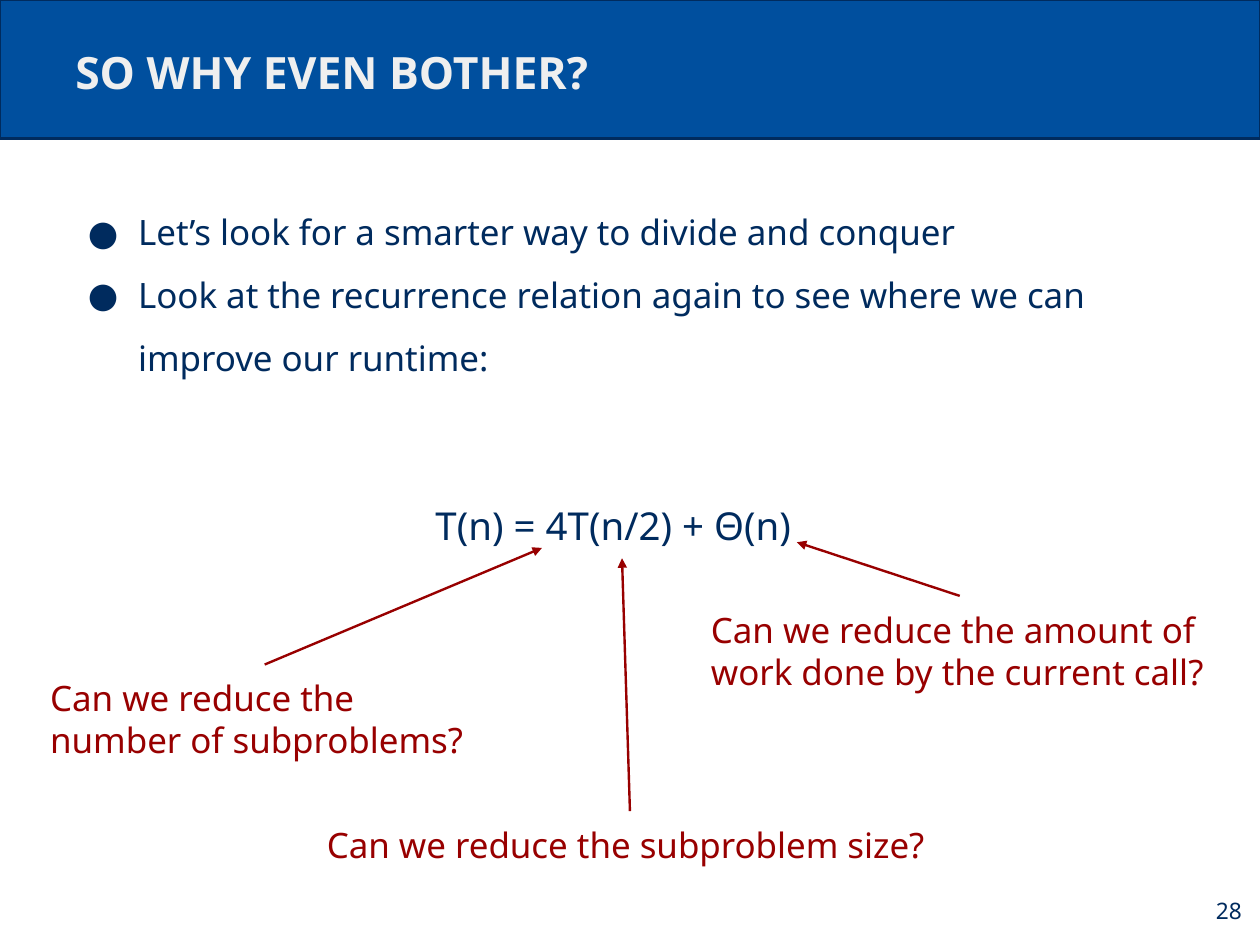
from pptx import Presentation
from pptx.dml.color import RGBColor
from pptx.enum.shapes import MSO_CONNECTOR, MSO_SHAPE
from pptx.enum.text import MSO_ANCHOR, PP_ALIGN
from pptx.oxml.ns import qn
from pptx.util import Pt
from lxml.etree import SubElement

COLORS = {"blue": "004F9E", "navy": "002B5E", "red": "980000", "pale": "EFEFEF"}


class Deck:
    font = "Noto Sans"
    inset = 7.8
    stroke = 1.5

    def __init__(self, width, height):
        self.prs = Presentation()
        self.prs.slide_width, self.prs.slide_height = Pt(width), Pt(height)
        self.slide = self.prs.slides.add_slide(self.prs.slide_layouts[6])

    def color(self, name):
        return RGBColor.from_string(COLORS[name])

    def bar(self, box, fill, line):
        shape = self.slide.shapes.add_shape(MSO_SHAPE.RECTANGLE, *map(Pt, box))
        shape.shadow.inherit = False
        shape.fill.solid()
        shape.fill.fore_color.rgb = self.color(fill)
        shape.line.color.rgb = self.color(line)
        shape.line.width = Pt(self.stroke)

    def text(self, box, words, size, color, anchor=MSO_ANCHOR.TOP,
             align=PP_ALIGN.LEFT, bold=False):
        shape = self.slide.shapes.add_textbox(*map(Pt, box))
        frame = shape.text_frame
        frame.word_wrap = True
        frame.vertical_anchor = anchor
        frame.margin_left = frame.margin_right = Pt(self.inset)
        frame.margin_top = frame.margin_bottom = Pt(self.inset)
        frame.text = words
        for para in frame.paragraphs:
            para.alignment = align
            for run in para.runs:
                run.font.name = self.font
                run.font.size = Pt(size)
                run.font.bold = bold
                run.font.color.rgb = self.color(color)
        return shape

    def bullets(self, box, items, size, color):
        shape = self.text(box, "\n".join(items), size, color)
        for para in shape.text_frame.paragraphs:
            para.line_spacing = 1.5
            props = para._p.get_or_add_pPr()
            props.set("marL", str(Pt(39.6)))
            props.set("indent", str(Pt(-31.7)))
            tint = SubElement(props, qn("a:buClr"))
            SubElement(tint, qn("a:srgbClr"), val=COLORS[color])
            SubElement(props, qn("a:buFont"), typeface=self.font)
            SubElement(props, qn("a:buChar"), char="●")

    def arrow(self, source, tip, color):
        line = self.slide.shapes.add_connector(
            MSO_CONNECTOR.STRAIGHT, 0, 0, *map(Pt, tip))
        line.begin_connect(source, 0)
        line.line.color.rgb = self.color(color)
        line.line.width = Pt(self.stroke)
        SubElement(line.line._get_or_add_ln(), qn("a:tailEnd"), type="triangle")
        SubElement(line._element.spPr, qn("a:effectLst"))


def main():
    deck = Deck(793.44, 595.44)

    # Header
    deck.bar((0, 0, 793.44, 87.1), "blue", "navy")
    deck.text((39.6, 17.3, 714.2, 52.6), "SO WHY EVEN BOTHER?", 28, "pale",
              MSO_ANCHOR.BOTTOM, bold=True)

    # Main points
    deck.bullets((39.6, 111.6, 714.2, 157.7), [
        "Let’s look for a smarter way to divide and conquer",
        "Look at the recurrence relation again to see where we can improve our runtime:",
    ], 22, "navy")

    # Recurrence
    deck.text((266.4, 290.9, 260.6, 79.2), "T(n) = 4T(n/2) + Θ(n)", 24.2, "navy",
              MSO_ANCHOR.MIDDLE)

    # Questions, each with an arrow to its term
    notes = [
        ((439.9, 375.1, 329, 82.8), (501.8, 341.3),
         "Can we reduce the amount of work done by the current call?"),
        ((198, 510.5, 397.4, 52.6), (391.7, 351.4),
         "Can we reduce the subproblem size?"),
        ((23.8, 418.3, 285.8, 79.2), (341.3, 344.9),
         "Can we reduce the number of subproblems?"),
    ]
    for box, tip, words in notes:
        note = deck.text(box, words, 22, "red")
        deck.arrow(note, tip, "red")

    # Page number
    deck.text((742.3, 550.1, 47.5, 45.4), "28", 14.3, "navy",
              MSO_ANCHOR.MIDDLE, PP_ALIGN.RIGHT)

    deck.prs.save("out.pptx")


if __name__ == "__main__":
    main()
